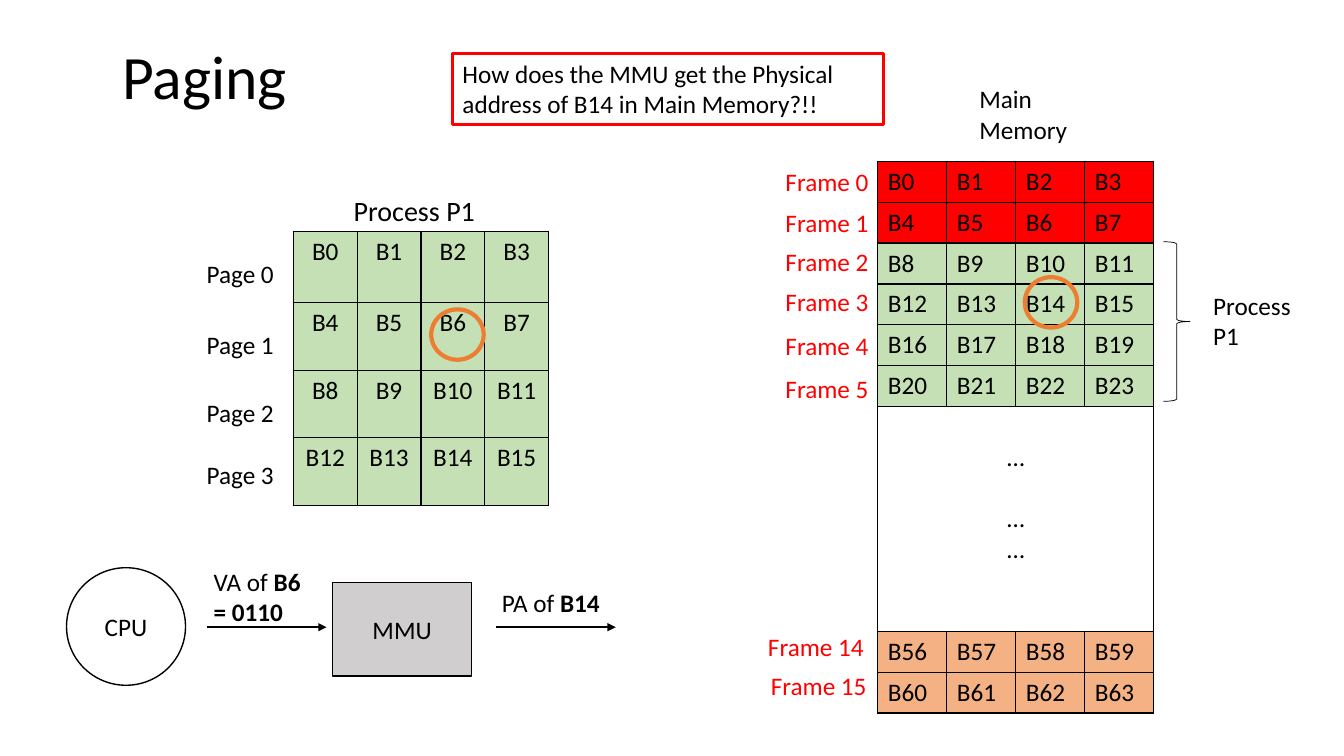
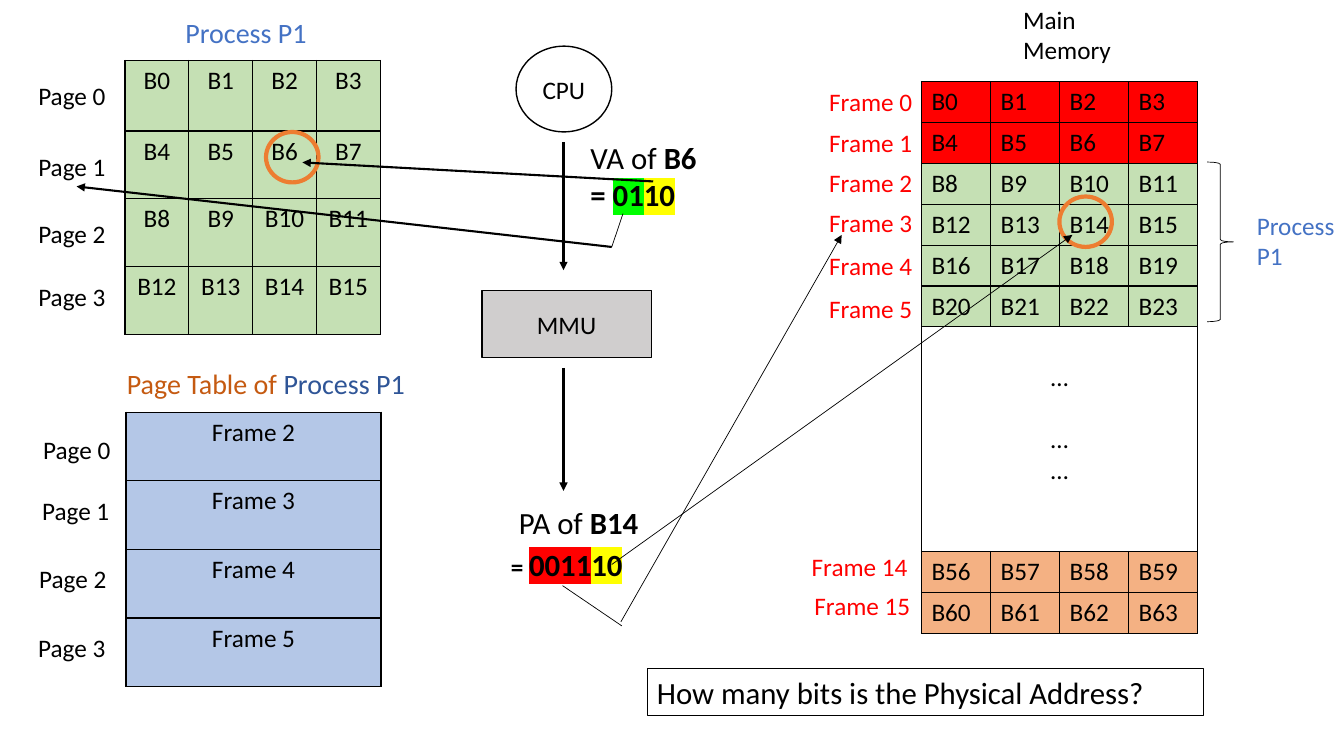
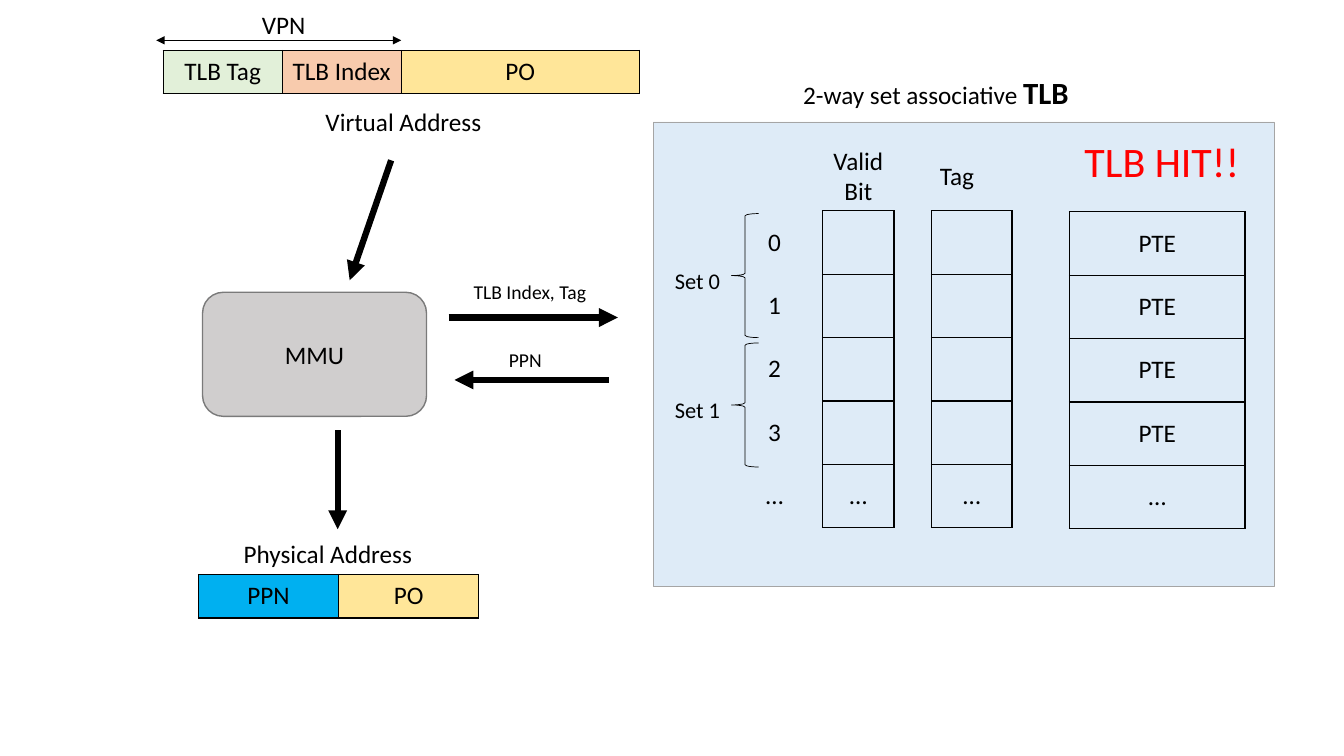
"""Build three slides on paging, address translation and the TLB."""
from lxml.etree import SubElement
from pptx import Presentation
from pptx.dml.color import RGBColor
from pptx.enum.shapes import MSO_CONNECTOR, MSO_SHAPE
from pptx.enum.text import MSO_ANCHOR, MSO_AUTO_SIZE, PP_ALIGN
from pptx.oxml.ns import qn
from pptx.util import Pt

COLORS = {
    "black": "000000", "white": "FFFFFF", "red": "FF0000", "orange": "ED7D31",
    "rust": "C55A11", "peach": "F4B183", "salmon": "F8CBAD", "sand": "FFE699",
    "yellow": "FFFF00", "lime": "00FF00", "green": "C5E0B4", "mint": "E2F0D9",
    "blue": "4472C4", "navy": "2F5597", "sky": "B4C7E7", "ice": "DEEBF7",
    "cyan": "00B0F0", "gray": "D0CECE", "edge": "A5A5A5", "dark": "7A7A7A",
}
FONT = "Calibri"
LEFT, CENTER = PP_ALIGN.LEFT, PP_ALIGN.CENTER
TOP, MIDDLE = MSO_ANCHOR.TOP, MSO_ANCHOR.MIDDLE
BOLD = {"bold": True}


def rgb(name):
    return RGBColor.from_string(COLORS[name])


def write(tf, text, size=18, color="black", align=LEFT, bold=False, space=0, leading=None):
    paras = [text] if isinstance(text, str) else text
    for i, runs in enumerate(paras):
        p = tf.add_paragraph() if i else tf.paragraphs[0]
        p.alignment = align
        p.space_before = Pt(space)
        p.line_spacing = leading
        for run in [runs] if isinstance(runs, str) else runs:
            words, own = (run, {}) if isinstance(run, str) else run
            r = p.add_run()
            r.text = words
            r.font.size = Pt(own.get("size", size))
            r.font.bold = own.get("bold", bold)
            r.font.color.rgb = rgb(own.get("color", color))
            if "mark" in own:
                mark = SubElement(r._r.get_or_add_rPr(), qn("a:highlight"))
                SubElement(mark, qn("a:srgbClr"), val=COLORS[own["mark"]])
            r.font.name = FONT


class Deck:
    def __init__(self):
        self.prs = Presentation()
        self.prs.slide_width, self.prs.slide_height = Pt(960), Pt(540)
        self.s = None

    def slide(self, layout=6):
        self.s = self.prs.slides.add_slide(self.prs.slide_layouts[layout])

    def title(self, text, x, y, w, h):
        self.slide(5)
        sp = self.s.shapes.title
        sp.left, sp.top, sp.width, sp.height = Pt(x), Pt(y), Pt(w), Pt(h)
        sp.text_frame.vertical_anchor = MIDDLE
        write(sp.text_frame, text, size=44, leading=0.9)

    def text(self, text, x, y, w, h=29, **fmt):
        tf = self.s.shapes.add_textbox(Pt(x), Pt(y), Pt(w), Pt(h)).text_frame
        tf.word_wrap = True
        tf.auto_size = MSO_AUTO_SIZE.SHAPE_TO_FIT_TEXT
        write(tf, text, **fmt)

    def shape(self, kind, x, y, w, h, fill=None, line="black", width=1,
              text="", anchor=MIDDLE, align=CENTER, **fmt):
        sp = self.s.shapes.add_shape(kind, Pt(x), Pt(y), Pt(w), Pt(h))
        sp.shadow.inherit = False
        if fill:
            sp.fill.solid()
            sp.fill.fore_color.rgb = rgb(fill)
        else:
            sp.fill.background()
        sp.line.color.rgb = rgb(line)
        sp.line.width = Pt(width)
        if text:
            sp.text_frame.word_wrap = True
            sp.text_frame.vertical_anchor = anchor
            write(sp.text_frame, text, align=align, **fmt)

    def ring(self, x, y):
        self.shape(MSO_SHAPE.OVAL, x, y, 37.5, 36, line="orange", width=3)

    def line(self, x1, y1, x2, y2, width=1.5, ends=("tailEnd",)):
        cn = self.s.shapes.add_connector(MSO_CONNECTOR.STRAIGHT, Pt(x1), Pt(y1), Pt(x2), Pt(y2))
        cn.line.color.rgb = rgb("black")
        cn.line.width = Pt(width)
        for end in ends:
            SubElement(cn.line._get_or_add_ln(), qn(f"a:{end}"), type="triangle")
        SubElement(cn._element.spPr, qn("a:effectLst"))

    def table(self, rows, x, y, widths, heights, fills=None, border=True, anchor=MIDDLE, **fmt):
        fmt = {"align": CENTER, **fmt}
        tbl = self.s.shapes.add_table(len(rows), len(widths), Pt(x), Pt(y),
                                      Pt(sum(widths)), Pt(sum(heights))).table
        tbl.first_row = tbl.horz_banding = False
        for col, w in zip(tbl.columns, widths):
            col.width = Pt(w)
        for row, h in zip(tbl.rows, heights):
            row.height = Pt(h)
        for i, row in enumerate(rows):
            for j, words in enumerate(row):
                cell = tbl.cell(i, j)
                self.edges(cell, border)
                fill = fills[i][j] if fills else None
                if fill:
                    cell.fill.solid()
                    cell.fill.fore_color.rgb = rgb(fill)
                else:
                    cell.fill.background()
                cell.vertical_anchor = anchor
                if words:
                    write(cell.text_frame, words, **fmt)
        return tbl

    def edges(self, cell, border):
        pr = cell._tc.get_or_add_tcPr()
        for side in "LRTB":
            ln = SubElement(pr, qn(f"a:ln{side}"), w=str(Pt(1)))
            if border:
                SubElement(SubElement(ln, qn("a:solidFill")), qn("a:srgbClr"), val=COLORS["black"])
            else:
                SubElement(ln, qn("a:noFill"))


def blocks(first, count):
    return [[f"B{4 * i + j}" for j in range(4)] for i in range(first, first + count)]


def main_memory(d, x, y, color):
    fills = ["red"] * 2 + ["green"] * 4 + [None] + ["peach"] * 2
    tbl = d.table(blocks(0, 6) + [[""] * 4] + blocks(14, 2), x, y, [49.3] * 4,
                  [29.1] * 6 + [160.5] + [29.1] * 2, [[f] * 4 for f in fills],
                  anchor=TOP, align=LEFT)
    gap = tbl.cell(6, 0)
    gap.merge(tbl.cell(6, 3))
    gap.margin_top = Pt(25.6)
    write(gap.text_frame, ["…"], align=CENTER)
    for space in (22, 0):
        p = gap.text_frame.add_paragraph()
        p.alignment, p.space_before = CENTER, Pt(space)
        r = p.add_run()
        r.text, r.font.size, r.font.name = "…", Pt(18), FONT
    for i, dy in enumerate((0, 29, 57.5, 86, 117, 148)):
        d.text(f"Frame {i}", x - 73, y + dy, 78, color="red")
    d.text("Frame 14", x - 85.5, y + 332, 86, color="red")
    d.text("Frame 15", x - 83.5, y + 360, 86, color="red")
    d.text("Main Memory", x + 65.5, y - 59, 83.5, 51)
    d.shape(MSO_SHAPE.RIGHT_BRACE, x + 204, y + 57.5, 19, 114, width=0.5)
    d.text("Process P1", x + 232.5, y + 88.5, 75, 51, color=color)


def process(d, x, y, label_y, color):
    d.table(blocks(0, 4), x, y, [45.6] * 4, [50.4] + [48.4] * 3, [["green"] * 4] * 4, anchor=TOP)
    d.text("Process P1", x + 36, label_y, 110, 32, size=20, color=color)
    for i, dy in enumerate((46.5, 97, 145.5, 190)):
        d.text(f"Page {i}", x - 69, label_y + dy, 69)


def cpu(d, x, y, w, h):
    d.shape(MSO_SHAPE.OVAL, x, y, w, h, "white", text="CPU")


def mmu(d, x, y, w, h, kind=MSO_SHAPE.RECTANGLE, line="black"):
    d.shape(kind, x, y, w, h, "gray", line, text="MMU")


def paging(d):
    d.title("Paging", 80, 4.5, 389.5, 104.5)
    main_memory(d, 627, 115.2, "black")
    process(d, 209.5, 165.6, 134.6, "black")
    d.ring(308, 221)
    d.ring(732, 198)
    cpu(d, 47.5, 405.5, 85, 84)
    mmu(d, 237.5, 416, 99.5, 67)
    for x in (147.6, 354.2):
        d.line(x, 448, x + 85.7, 448)
    d.text([["VA of ", ("B6", BOLD)], [("= 0110", BOLD)]], 145.5, 401, 86, 51)
    d.text([["PA of ", ("B14", BOLD)]], 351.5, 416, 92)
    d.shape(MSO_SHAPE.RECTANGLE, 323.3, 38.2, 308, 51, line="red", width=2.25, anchor=TOP, align=LEFT,
            text="How does the MMU get the Physical address of B14 in Main Memory?!!")


def page_table(d):
    d.slide()
    main_memory(d, 658.2, 58.3, "blue")
    d.ring(756.7, 140.4)
    d.table([[f"Frame {i}"] for i in range(2, 6)], 90, 294.5, [182.2], [49] * 4,
            [["sky"]] * 4, anchor=TOP)
    process(d, 89.3, 43.2, 7.2, "blue")
    d.ring(190, 94.3)
    d.text([["Page Table of ", ("Process P1", {"color": "navy"})]], 83.5, 258, 238, 32,
           size=20, color="rust")
    for i, (x, y) in enumerate(((23.8, 306.7), (23, 350.6), (20.9, 399), (20.2, 448))):
        d.text(f"Page {i}", x, y, 69)
    d.line(402.5, 101.5, 402.5, 193)
    d.line(402.5, 262.8, 402.5, 350.6)
    mmu(d, 344.2, 207.4, 121, 48.2)
    cpu(d, 368.6, 33, 68.4, 61.2)
    offset = ("10", {"mark": "yellow", "bold": True})
    d.text([["VA of ", ("B6", BOLD)], [("= ", BOLD), ("01", {"mark": "lime", "bold": True}), offset]],
           414.7, 95.8, 103.7, 60.5, size=22)
    d.text([["PA of ", ("B14", BOLD)]], 363.6, 356.4, 111.6, 34, size=22)
    d.text([[("= ", {"size": 18}), ("0011", {"mark": "red"}), offset]],
           357.8, 386, 121, 34, size=22, bold=True)
    d.shape(MSO_SHAPE.RECTANGLE, 462.2, 477.4, 397.5, 34, width=0.75, anchor=TOP, align=LEFT,
            size=22, text="How many bits is the Physical Address?")
    d.line(466.6, 129.6, 216, 116)
    d.line(437, 176.4, 54.7, 133.2)
    d.line(445, 152.6, 437, 176.4, 0.5, ())
    d.line(437, 403.2, 766, 167.8, 0.5)
    d.line(443.5, 444.2, 601.2, 167.8, 0.5)
    d.line(401.8, 418.3, 444.2, 447.1, 0.5, ())


def tlb(d):
    d.slide()
    d.shape(MSO_SHAPE.RECTANGLE, 466.6, 87.1, 443.5, 332, "ice", "edge", 0.5)
    heights = [45.3] * 5
    empty = [[""]] * 4 + [["…"]]
    d.table([["PTE"]] * 4 + [["…"]], 764, 151.2, [125.3], heights)
    d.table(empty, 665.3, 150.5, [57.6], heights)
    d.table(empty, 587.5, 150.5, [51.1], heights)
    d.table([[c] for c in "0123…"], 537, 150.5, [32.4], heights, border=False)
    d.text("Valid Bit", 587.5, 100, 51.1, 51, align=CENTER)
    d.text("Tag", 658, 111, 51.1, align=CENTER)
    for i in range(2):
        y = 152.6 + 92.4 * i
        d.shape(MSO_SHAPE.LEFT_BRACE, 522.5, y, 19.4, 88.6, width=0.5)
        d.text(f"Set {i}", 475, y + 34.5, 48, 26.6, size=16)
    d.table([["TLB Tag", "TLB Index", "PO"]], 116.6, 36, [85, 85, 170], [31],
            [["mint", "salmon", "sand"]])
    d.table([["PPN", "PO"]], 141.8, 410.4, [100.1] * 2, [31], [["cyan", "sand"]])
    d.text("Virtual Address", 225.4, 72.7, 138.2)
    d.text("Physical Address", 167, 381, 145.4)
    d.text("VPN", 180, 2.9, 48)
    d.text([["2-way set associative ", ("TLB", {"size": 22, "bold": True})]], 566.6, 49, 234.7, 34)
    d.text("TLB Index, Tag", 331.2, 196.6, 103.7, 24.5, size=14)
    d.text("PPN", 356.4, 244.8, 52.6, 24.5, size=14)
    d.text("TLB HIT!!", 767.5, 93.6, 143.3, 44, size=30, color="red")
    mmu(d, 144.7, 208.8, 160, 88.6, MSO_SHAPE.ROUNDED_RECTANGLE, "dark")
    d.line(111.6, 28.8, 286.6, 28.8, 0.5, ("headEnd", "tailEnd"))
    for ends in ((279.4, 114.5, 249.8, 200.2), (320.4, 226.8, 441.4, 226.8),
                 (434.9, 271.4, 324.7, 271.4), (241.2, 307.4, 241.2, 378)):
        d.line(*ends, width=4.5)


def main():
    d = Deck()
    for build in (paging, page_table, tlb):
        build(d)
    d.prs.save("out.pptx")


if __name__ == "__main__":
    main()
